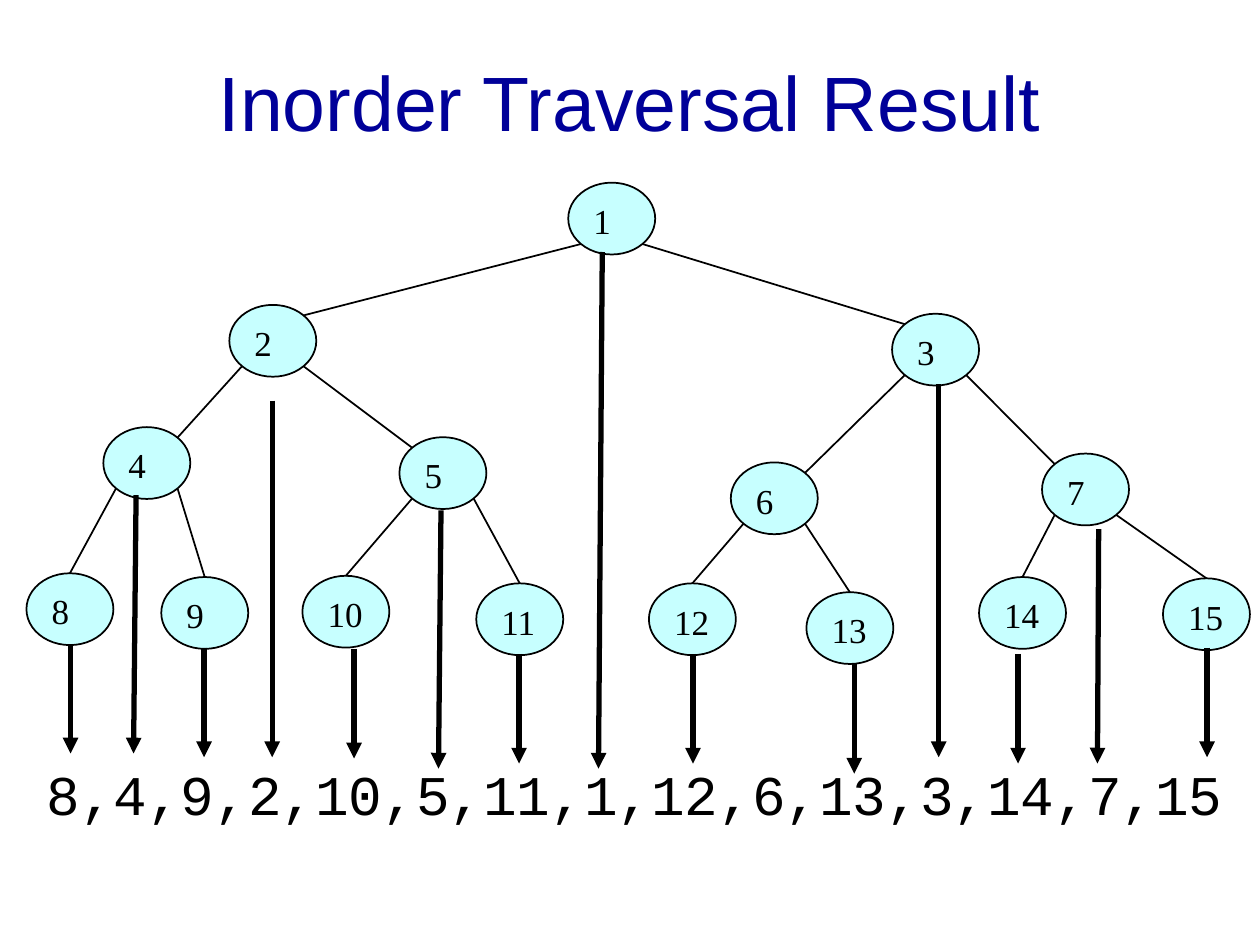
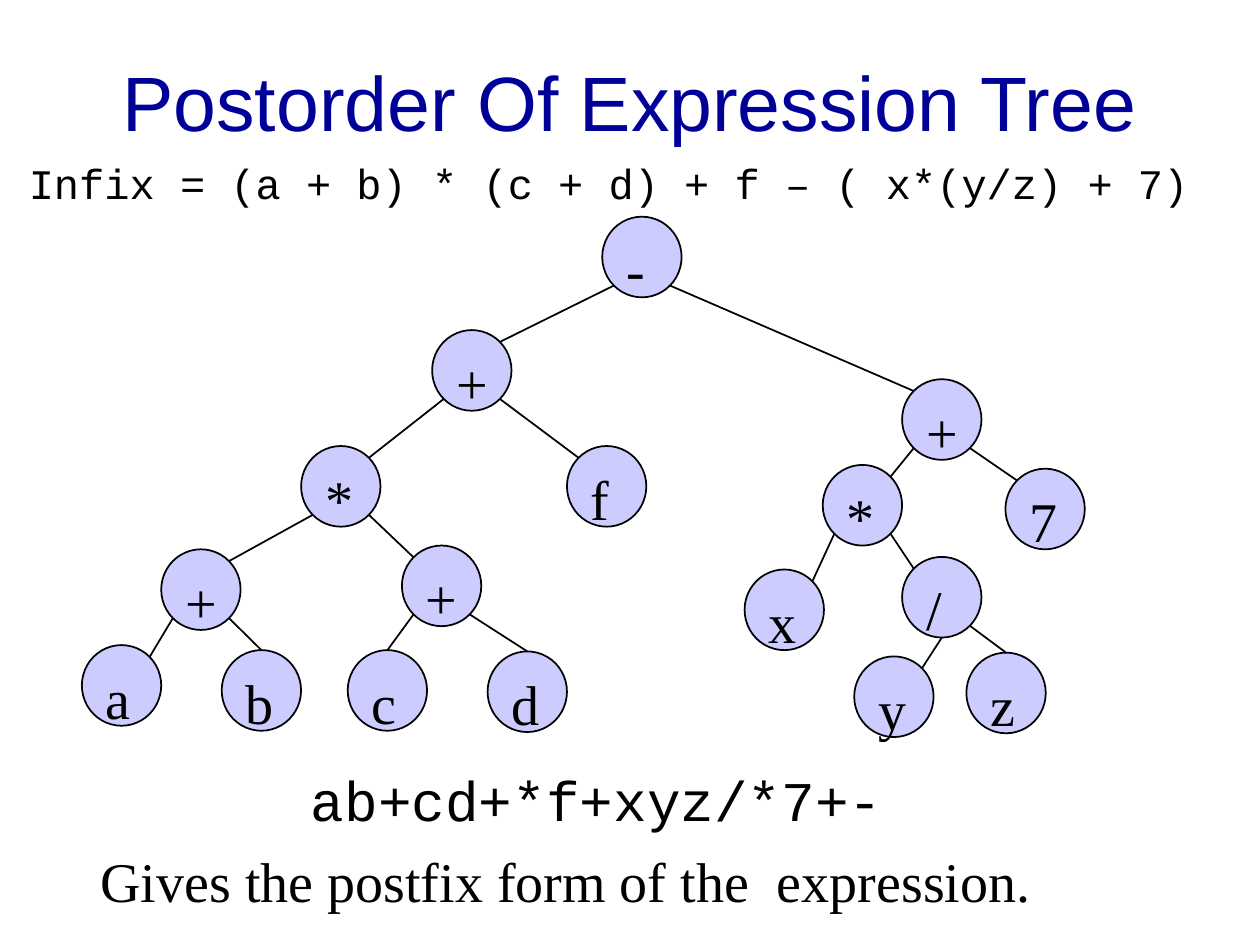
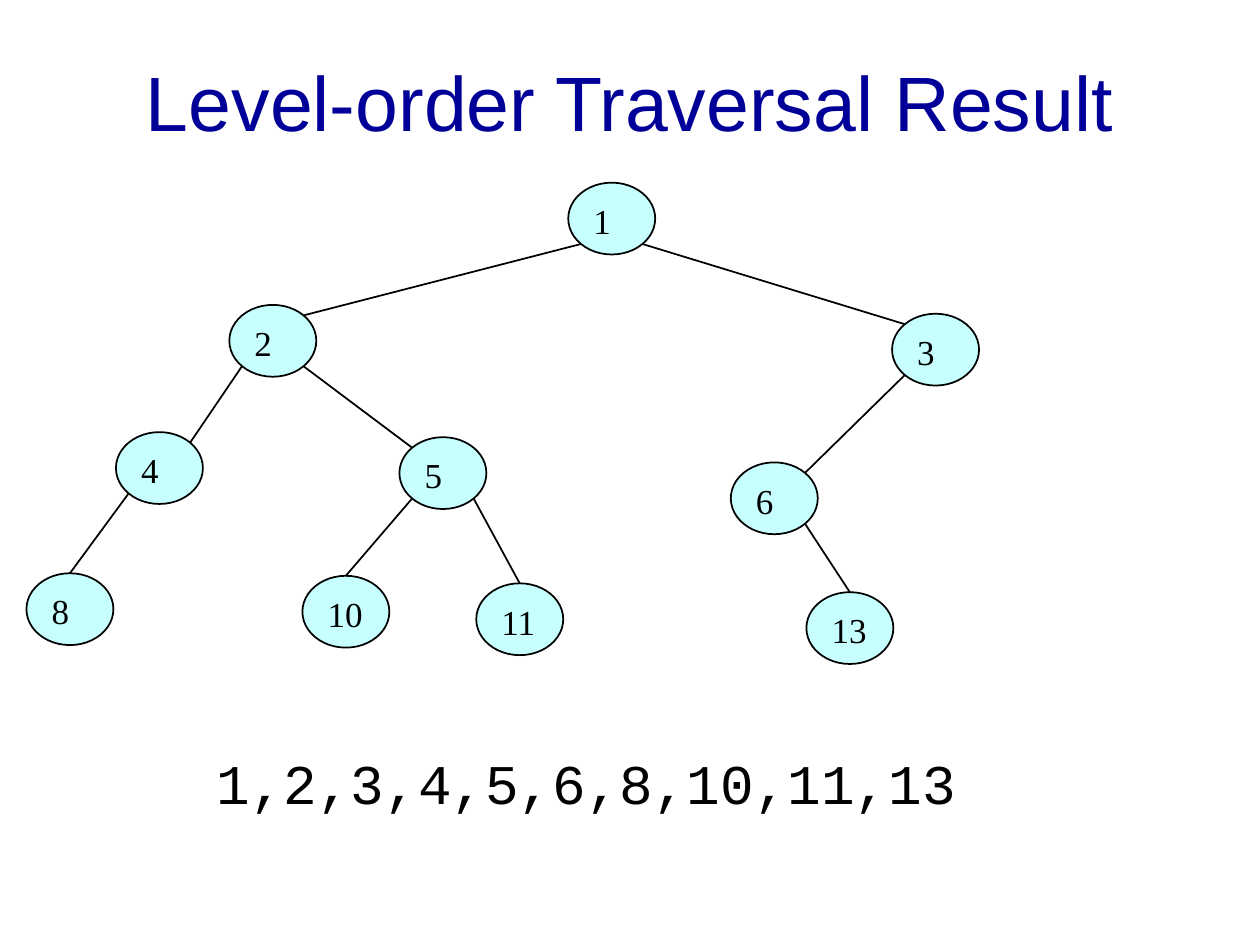
import dataclasses
import pptx
import pptx.dml.color
import pptx.enum.shapes
import pptx.enum.text
import pptx.oxml.ns
import pptx.util
from lxml import etree

PX = 9144  # 100 px to the inch


def px(length):
    return pptx.util.Emu(round(length * PX))


@dataclasses.dataclass(frozen=True)
class Theme:
    ink: str = "000000"
    title_colour: str = "000099"
    number_fill: str = "C7FFFF"
    operator_fill: str = "CCCCFF"
    title_font: str = "Arial"
    code_font: str = "Courier New"
    body_font: str = "Times New Roman"
    title_size: int = 44
    body_size: int = 32
    infix_size: int = 24
    number_size: int = 20
    edge_width: int = 1
    arrow_width: int = 3


THEME = Theme()


@dataclasses.dataclass(frozen=True)
class NodeStyle:
    width: int
    height: int
    fill: str
    text_size: int


NUMBER_STYLE = NodeStyle(69, 57, THEME.number_fill, THEME.number_size)
OPERATOR_STYLE = NodeStyle(63, 64, THEME.operator_fill, THEME.body_size)

# Where an edge meets an ellipse, as fractions of its width and height.
NEAR, FAR = 0.146, 0.854
TOP, BOTTOM = (0.5, 0), (0.5, 1)
TOP_LEFT, TOP_RIGHT = (NEAR, NEAR), (FAR, NEAR)
BOTTOM_LEFT, BOTTOM_RIGHT = (NEAR, FAR), (FAR, FAR)

NUMBER_TREE_BOX = (21, 145)
NUMBER_PLACES = {
    1: (430, 0), 2: (161, 97), 3: (687, 104),
    4: (61, 194), 5: (296, 202), 6: (559, 222), 7: (806, 215),
    8: (0, 310), 9: (107, 313), 10: (219, 312), 11: (357, 318),
    12: (494, 318), 13: (619, 325), 14: (756, 313), 15: (902, 314),
}
LEVEL_ORDER = (1, 2, 3, 4, 5, 6, 8, 10, 11, 13)
FIRST_LEAF = 8

# Start and end of each arrow from a node down to the visiting order.
VISIT_ARROWS = (
    (35, 366, 35, 453), (87, 248, 85, 453), (141, 369, 141, 456),
    (195, 173, 195, 456), (260, 370, 260, 457), (329, 260, 327, 465),
    (391, 374, 391, 461), (457, 55, 454, 465), (529, 374, 529, 461),
    (657, 381, 657, 469), (724, 160, 724, 456), (787, 374, 787, 461),
    (851, 275, 850, 461), (937, 369, 937, 456),
)

EXPRESSION_TREE_BOX = (65, 172)
EXPRESSION_PLACES = {
    "minus": (413, 0), "sum": (278, 90), "right sum": (651, 129),
    "product": (174, 182), "f": (385, 182), "a+b": (63, 264),
    "c+d": (254, 261), "a": (0, 340), "b": (111, 344), "c": (211, 344),
    "d": (322, 345), "right product": (588, 197), "7": (733, 200),
    "x": (526, 280), "quotient": (651, 270), "y": (613, 349),
    "z": (702, 346),
}
OPERATOR_SIGNS = {
    "minus": "-", "sum": "+", "right sum": "+", "product": "*",
    "a+b": "+", "c+d": "+", "right product": "*", "quotient": "/",
}
EXPRESSION_CHILDREN = {
    "minus": ("sum", "right sum"), "sum": ("product", "f"),
    "product": ("a+b", "c+d"), "a+b": ("a", "b"), "c+d": ("c", "d"),
    "right sum": ("right product", "7"), "right product": ("x", "quotient"),
    "quotient": ("y", "z"),
}
JOINED_AT_TOP = "bcdz"


def add_run(paragraph, text, size, font, colour=THEME.ink):
    run = paragraph.add_run()
    run.text = text
    run.font.size = pptx.util.Pt(size)
    run.font.name = font
    run.font.color.rgb = pptx.dml.color.RGBColor.from_string(colour)


def add_line_of_text(slide, box, text, size, font, wrap=True):
    area = slide.shapes.add_textbox(*map(px, box))
    area.text_frame.word_wrap = wrap
    area.text_frame.auto_size = pptx.enum.text.MSO_AUTO_SIZE.SHAPE_TO_FIT_TEXT
    add_run(area.text_frame.paragraphs[0], text, size, font)


def add_title(slide, text):
    title = slide.shapes.add_textbox(*map(px, (75, 17, 850, 125)))
    title.text_frame.word_wrap = True
    title.text_frame.vertical_anchor = pptx.enum.text.MSO_ANCHOR.MIDDLE
    paragraph = title.text_frame.paragraphs[0]
    paragraph.alignment = pptx.enum.text.PP_ALIGN.CENTER
    add_run(paragraph, text, THEME.title_size, THEME.title_font,
            THEME.title_colour)


def add_line(shapes, start, end, width, arrow=False):
    line = shapes.add_connector(pptx.enum.shapes.MSO_CONNECTOR.STRAIGHT,
                                *map(px, (*start, *end)))
    line.line.color.rgb = pptx.dml.color.RGBColor.from_string(THEME.ink)
    line.line.width = pptx.util.Pt(width)
    if arrow:
        etree.SubElement(line.line._get_or_add_ln(),
                         pptx.oxml.ns.qn("a:tailEnd"), type="triangle")
    etree.SubElement(line._element.spPr, pptx.oxml.ns.qn("a:effectLst"))


def add_node(shapes, left, top, label, style):
    node = shapes.add_shape(pptx.enum.shapes.MSO_SHAPE.OVAL,
                            *map(px, (left, top, style.width, style.height)))
    node.shadow.inherit = False
    node.fill.solid()
    node.fill.fore_color.rgb = pptx.dml.color.RGBColor.from_string(style.fill)
    node.line.color.rgb = pptx.dml.color.RGBColor.from_string(THEME.ink)
    node.line.width = pptx.util.Pt(THEME.edge_width)
    node.text_frame.vertical_anchor = pptx.enum.text.MSO_ANCHOR.TOP
    paragraph = node.text_frame.paragraphs[0]
    paragraph.alignment = pptx.enum.text.PP_ALIGN.LEFT
    add_run(paragraph, label, style.text_size, THEME.body_font)


def draw_tree(shapes, box, places, labels, edges, style):
    """Draw nodes and edges; an edge is parent, its site, child, its site."""
    left, top = box

    def site_of(key, site):
        x, y = places[key]
        return (left + x + site[0] * style.width,
                top + y + site[1] * style.height)

    for key, (x, y) in places.items():
        add_node(shapes, left + x, top + y, labels[key], style)
    for parent, parent_site, child, child_site in edges:
        add_line(shapes, site_of(parent, parent_site),
                 site_of(child, child_site), THEME.edge_width)


def number_edges(numbers):
    """Join each number to its half, as in a heap."""
    for number in numbers:
        if number == 1:
            continue
        is_left = number % 2 == 0
        child_site = TOP_RIGHT if is_left else TOP_LEFT
        if number >= FIRST_LEAF:
            child_site = TOP
        yield (number // 2, BOTTOM_LEFT if is_left else BOTTOM_RIGHT,
               number, child_site)


def expression_edges():
    for parent, (left, right) in EXPRESSION_CHILDREN.items():
        left_start = BOTTOM if left == "y" else BOTTOM_LEFT
        yield (parent, left_start, left,
               TOP if left in JOINED_AT_TOP else TOP_RIGHT)
        yield (parent, BOTTOM_RIGHT, right,
               TOP if right in JOINED_AT_TOP else TOP_LEFT)


def draw_number_tree(slide, places):
    draw_tree(slide.shapes.add_group_shape().shapes, NUMBER_TREE_BOX, places,
              {number: str(number) for number in places},
              number_edges(places), NUMBER_STYLE)


def draw_visit_arrows(slide, box):
    left, top = box
    for x1, y1, x2, y2 in VISIT_ARROWS:
        add_line(slide.shapes, (left + x1, top + y1), (left + x2, top + y2),
                 THEME.arrow_width, arrow=True)


def build_inorder(slide):
    add_title(slide, "Inorder Traversal Result")
    draw_number_tree(slide, NUMBER_PLACES)
    add_line_of_text(slide, (27, 598, 965, 64),
                     "8,4,9,2,10,5,11,1,12,6,13,3,14,7,15",
                     THEME.body_size, THEME.code_font, wrap=False)
    draw_visit_arrows(slide, NUMBER_TREE_BOX)


def build_postorder(slide):
    add_title(slide, "Postorder Of Expression Tree")
    add_line_of_text(slide, (70, 667, 817, 64),
                     "Gives the postfix form of the  expression.",
                     THEME.body_size, THEME.body_font)
    add_line_of_text(slide, (13, 120, 961, 50),
                     "Infix = (a + b) * (c + d) + f – ( x*(y/z) + 7)",
                     THEME.infix_size, THEME.code_font)
    labels = {key: OPERATOR_SIGNS.get(key, key) for key in EXPRESSION_PLACES}
    draw_tree(slide.shapes, EXPRESSION_TREE_BOX, EXPRESSION_PLACES, labels,
              expression_edges(), OPERATOR_STYLE)
    add_line_of_text(slide, (237, 603, 480, 64), "ab+cd+*f+xyz/*7+-",
                     THEME.body_size, THEME.code_font, wrap=False)


def build_level_order(slide):
    add_title(slide, "Level-order Traversal Result")
    places = {number: NUMBER_PLACES[number] for number in LEVEL_ORDER}
    places[4] = (71, 198)
    draw_number_tree(slide, places)
    add_line_of_text(slide, (162, 589, 614, 64),
                     ",".join(map(str, LEVEL_ORDER)),
                     THEME.body_size, THEME.code_font, wrap=False)


def main():
    deck = pptx.Presentation()
    deck.slide_width, deck.slide_height = px(1000), px(750)
    blank = deck.slide_layouts[6]
    for build in (build_inorder, build_postorder, build_level_order):
        build(deck.slides.add_slide(blank))
    deck.save("out.pptx")


if __name__ == "__main__":
    main()
